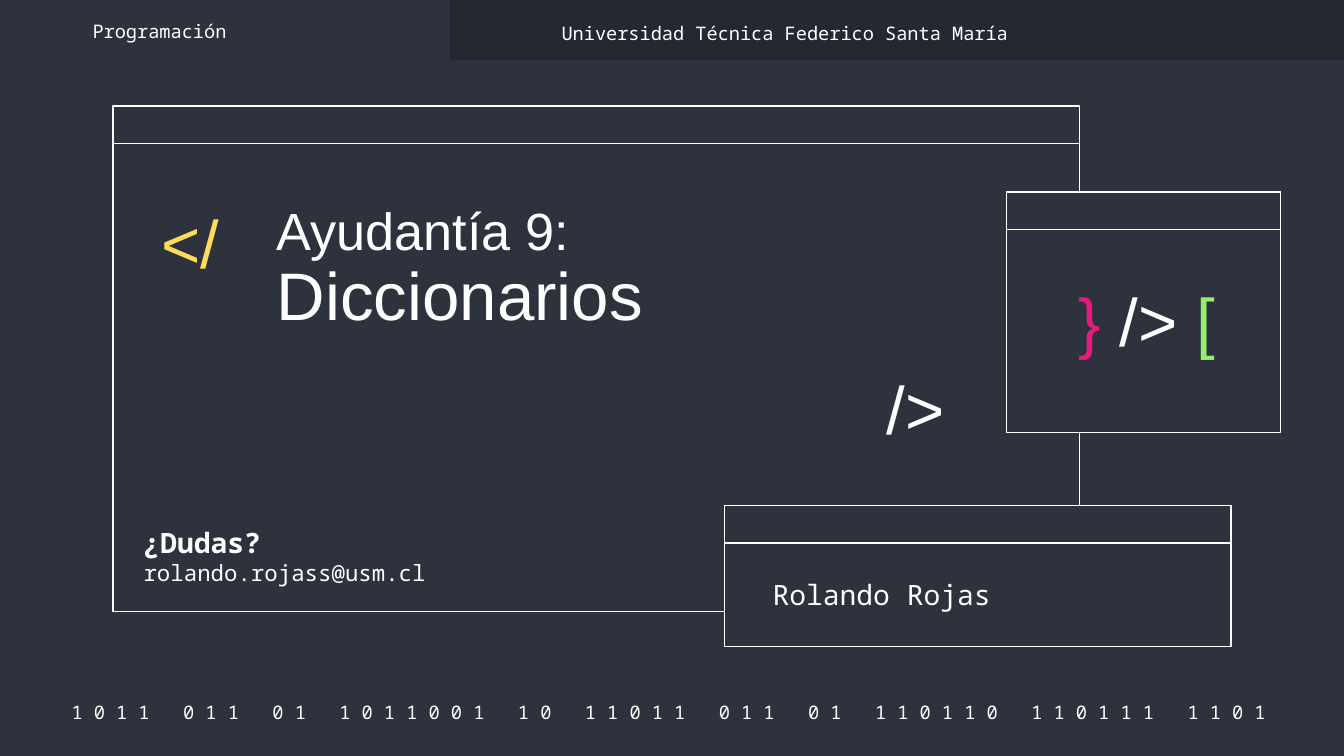
from pptx import Presentation
from pptx.dml.color import RGBColor
from pptx.enum.shapes import MSO_SHAPE as SHAPE
from pptx.enum.text import MSO_ANCHOR as ANCHOR, MSO_AUTO_SIZE as AUTO, PP_ALIGN as ALIGN
from pptx.util import Inches, Pt

WIDTH = 10
HEIGHT = WIDTH * 9 / 16
BACKGROUND, BAND, WHITE = "2D323C", "242830", "FFFFFF"
YELLOW, PINK, GREEN = "FFDB5D", "E81981", "94EE6B"
SANS, MONO = "Arial", "Noto Sans Mono"
TITLE_BAR = 0.28
BITS = "1011 011 01 1011001 10 11011 011 01 110110 110111 1101"

# Text formats
CODE = dict(name=SANS, size=Pt(36))
HEADING = dict(name=SANS, size=Pt(28))
SMALL = dict(name=MONO, size=Pt(10))
NAME = dict(name=MONO, size=Pt(15))
QUESTION = dict(NAME, bold=True)
EMAIL = dict(name=MONO, size=Pt(12))


def rgb(color):
    return RGBColor.from_string(color)


def add_rect(shapes, box, fill, line=None):
    sp = shapes.add_shape(SHAPE.RECTANGLE, *map(Inches, box))
    sp.shadow.inherit = False
    sp.fill.solid()
    sp.fill.fore_color.rgb = rgb(fill)
    if line:
        sp.line.color.rgb = rgb(line)
        sp.line.width = Pt(0.75)
    else:
        sp.line.fill.background()


def add_window(s, left, top, width, height):
    """Group a window frame with its title bar."""
    shapes = s.shapes.add_group_shape().shapes
    for h in (height, TITLE_BAR):
        add_rect(shapes, (left, top, width, h), BACKGROUND, WHITE)


def add_run(p, text, form, color=WHITE):
    r = p.add_run()
    r.text = text
    for key, value in form.items():
        setattr(r.font, key, value)
    r.font.color.rgb = rgb(color)


def set_frame(sp, anchor):
    tf = sp.text_frame
    frame = dict(word_wrap=True, auto_size=AUTO.NONE, vertical_anchor=anchor)
    frame |= {f"margin_{side}": Inches(0.1) for side in ("left", "top", "right", "bottom")}
    for key, value in frame.items():
        setattr(tf, key, value)
    return tf


def add_text(s, box, *paragraphs, anchor=ANCHOR.MIDDLE, align=ALIGN.LEFT, spacing=1.0):
    """Write paragraphs, each a list of (text, format, color) runs."""
    tf = set_frame(s.shapes.add_textbox(*map(Inches, box)), anchor)
    for i, runs in enumerate(paragraphs):
        p = tf.add_paragraph() if i else tf.paragraphs[0]
        p.alignment, p.line_spacing = align, spacing
        for run in runs:
            add_run(p, *run)


def set_title(s, box, first, second):
    sp = s.shapes.title
    sp.left, sp.top, sp.width, sp.height = map(Inches, box)
    p = set_frame(sp, ANCHOR.TOP).paragraphs[0]
    p.alignment, p.line_spacing = ALIGN.LEFT, 0.9
    add_run(p, first, HEADING)
    p.add_line_break()
    add_run(p, second, CODE)
    # Bring the title in front of the windows
    s.shapes._spTree.append(sp._element)


def main():
    prs = Presentation()
    prs.slide_width, prs.slide_height = Inches(WIDTH), Inches(HEIGHT)
    s = prs.slides.add_slide(prs.slide_layouts[5])
    s.background.fill.solid()
    s.background.fill.fore_color.rgb = rgb(BACKGROUND)

    # Binary footer and header band
    bits = "   ".join(" ".join(group) for group in BITS.split()) + " "
    add_text(s, (0.38, 5.2, 9.27, 0.2), [(bits, SMALL)], align=ALIGN.CENTER)
    add_rect(s.shapes, (3.35, 0, WIDTH - 3.35, 0.45), BAND)

    # Windows, from back to front
    add_window(s, 0.84, 0.79, 7.19, 3.76)
    add_window(s, 5.39, 3.76, 3.77, 1.05)
    add_window(s, 7.49, 1.43, 2.04, 1.79)

    # Code symbols
    add_text(s, (1.1, 1.51, 0.77, 0.66), [("</", CODE, YELLOW)], spacing=0.9)
    add_text(s, (6.5, 2.74, 0.77, 0.66), [("/>", CODE)], spacing=0.9)
    add_text(s, (7.87, 2.05, 1.33, 0.82),
             [("}", CODE, PINK), (" /> ", CODE), ("[", CODE, GREEN)],
             anchor=ANCHOR.TOP, align=ALIGN.CENTER, spacing=0.9)

    # Title, author, header labels and contact
    set_title(s, (1.96, 1.43, 4.54, 1.83), "Ayudantía 9:", "Diccionarios")
    add_text(s, (5.65, 4.13, 3.33, 0.58), [("Rolando Rojas", NAME)])
    add_text(s, (0.59, 0.13, 2.19, 0.2), [("Programación", SMALL)])
    add_text(s, (4.08, 0.13, 5.45, 0.23),
             [("Universidad Técnica Federico Santa María", SMALL)])
    add_text(s, (0.97, 3.81, 3.6, 0.66), [("¿Dudas?", QUESTION)],
             [("rolando.rojass@usm.cl", EMAIL)], anchor=ANCHOR.TOP)

    prs.save("out.pptx")


if __name__ == "__main__":
    main()
